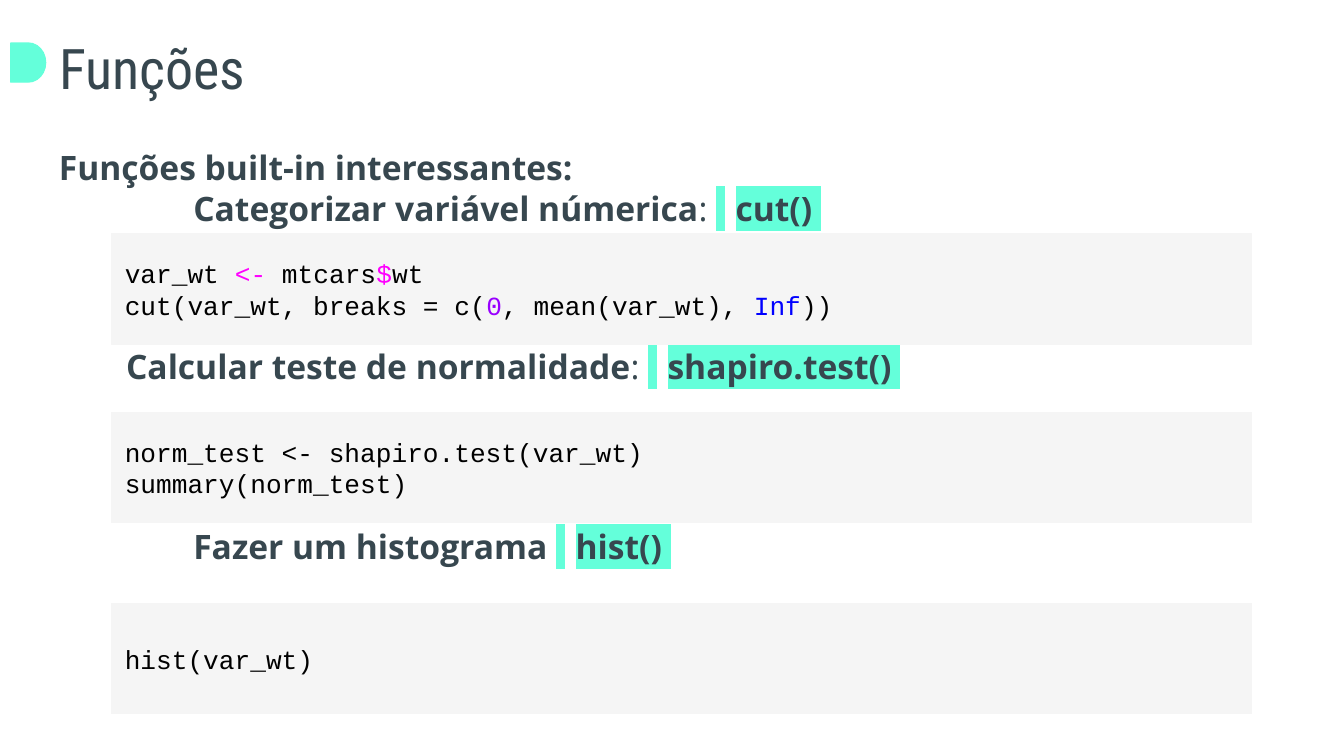
from lxml.etree import Element, SubElement
from pptx import Presentation
from pptx.dml.color import RGBColor
from pptx.enum.shapes import MSO_SHAPE
from pptx.enum.text import MSO_ANCHOR, PP_ALIGN
from pptx.oxml.ns import qn
from pptx.util import Inches, Pt

INK, MINT, PALE, BLACK, PINK = "37474F", "64FFDA", "F5F5F5", "000000", "FF00FF"
HEADING_FONT, CODE_FONT = "Open Sans", "Courier New"
PAD = "\u00a0"

TITLE = "Funções"
INTRO = "Funções built-in interessantes:"
SECTIONS = [
    {"label": "Categorizar variável númerica", "mark": ": ", "call": "cut()",
     "indent": 1, "before": 0.6, "end_pad": 19.4, "code_top": 1.74,
     "code": [[("var_wt ", BLACK), ("<-", PINK), (" mtcars", BLACK),
               ("$", PINK), ("wt ", BLACK)],
              [("cut(var_wt, breaks = c(", BLACK), ("0", "9900FF"),
               (", mean(var_wt), ", BLACK), ("Inf", "0000FF"), ("))", BLACK)]]},
    {"label": "Calcular teste de normalidade", "mark": ": ", "call": "shapiro.test()",
     "indent": 0.5, "before": 62.8, "end_pad": 5.6, "code_top": 3.07,
     "code": [[("norm_test <- shapiro.test(var_wt)", BLACK)],
              [("summary(norm_test)", BLACK)]]},
    {"label": "Fazer um histograma", "mark": " ", "call": "hist()",
     "indent": 1, "before": 75, "end_pad": 5.6, "code_top": 4.49,
     "code": [[("hist(var_wt)", BLACK)]]},
]


def color(value):
    """Turn a hex string into a colour."""
    return RGBColor.from_string(value)


def add_span(para, text, font, size, ink, bold=False):
    """Append and return one formatted run."""
    span = para.add_run()
    span.text = text
    span.font.name = font
    span.font.size = Pt(size)
    span.font.bold = bold
    span.font.color.rgb = color(ink)
    return span


def add_marked(para, text, tracking=0):
    """Append a highlighted heading run with optional letter spacing."""
    span = add_span(para, text, HEADING_FONT, 18, INK, bold=True)
    props = span.font._element
    highlight = Element(qn("a:highlight"))
    SubElement(highlight, qn("a:srgbClr"), val=MINT)
    props.find(qn("a:solidFill")).addnext(highlight)
    if tracking:
        props.set("spc", str(round(tracking * 100)))


def set_frame(box, top_inset=0.1, anchor=MSO_ANCHOR.TOP):
    """Set insets, anchor and wrapping, and return the first paragraph."""
    frame = box.text_frame
    frame.margin_left = frame.margin_right = frame.margin_bottom = Inches(0.1)
    frame.margin_top = Inches(top_inset)
    frame.vertical_anchor = anchor
    frame.word_wrap = True
    para = frame.paragraphs[0]
    para.alignment = PP_ALIGN.LEFT
    return para


def add_block(page, kind, left, top, width, height, fill):
    """Add a flat filled shape."""
    block = page.shapes.add_shape(
        kind, Inches(left), Inches(top), Inches(width), Inches(height))
    block.shadow.inherit = False
    block.fill.solid()
    block.fill.fore_color.rgb = color(fill)
    block.line.color.rgb = color(fill)
    block.line.width = Pt(0.75)
    return block


def add_heading(body, section):
    """Add a section heading with its highlighted function name."""
    para = body.text_frame.add_paragraph()
    para.alignment = PP_ALIGN.LEFT
    para.space_before = Pt(section["before"])
    para._p.get_or_add_pPr().set("marL", str(Inches(section["indent"])))
    add_span(para, section["label"], HEADING_FONT, 18, INK, bold=True)
    add_span(para, section["mark"], HEADING_FONT, 18, INK)
    add_marked(para, PAD, 5.6)
    add_marked(para, section["call"])
    add_marked(para, PAD, section["end_pad"])


def add_code(page, section):
    """Add a code panel."""
    panel = add_block(page, MSO_SHAPE.RECTANGLE, 0.83, section["code_top"],
                      8.48, 0.82, PALE)
    para = set_frame(panel, anchor=MSO_ANCHOR.MIDDLE)
    for index, line in enumerate(section["code"]):
        if index:
            para = panel.text_frame.add_paragraph()
            para.alignment = PP_ALIGN.LEFT
        for text, ink in line:
            add_span(para, text, CODE_FONT, 14, ink)


deck = Presentation()
deck.slide_width = Inches(10)
deck.slide_height = deck.slide_width * 9 // 16
page = deck.slides.add_slide(deck.slide_layouts[5])

title = page.shapes.title
title.left, title.top = Inches(0.34), Inches(0.15)
title.width, title.height = Inches(9.32), Inches(0.63)
add_span(set_frame(title), TITLE, "Roboto Condensed", 30, INK)

add_block(page, MSO_SHAPE.FLOWCHART_DELAY, 0.08, 0.32, 0.26, 0.29, MINT)

body = page.shapes.add_textbox(
    Inches(0.34), Inches(0.95), Inches(9.03), Inches(4.47))
add_span(set_frame(body, top_inset=0.14), INTRO, HEADING_FONT, 18, INK, bold=True)
for section in SECTIONS:
    add_heading(body, section)
for section in SECTIONS:
    add_code(page, section)

deck.save("out.pptx")
